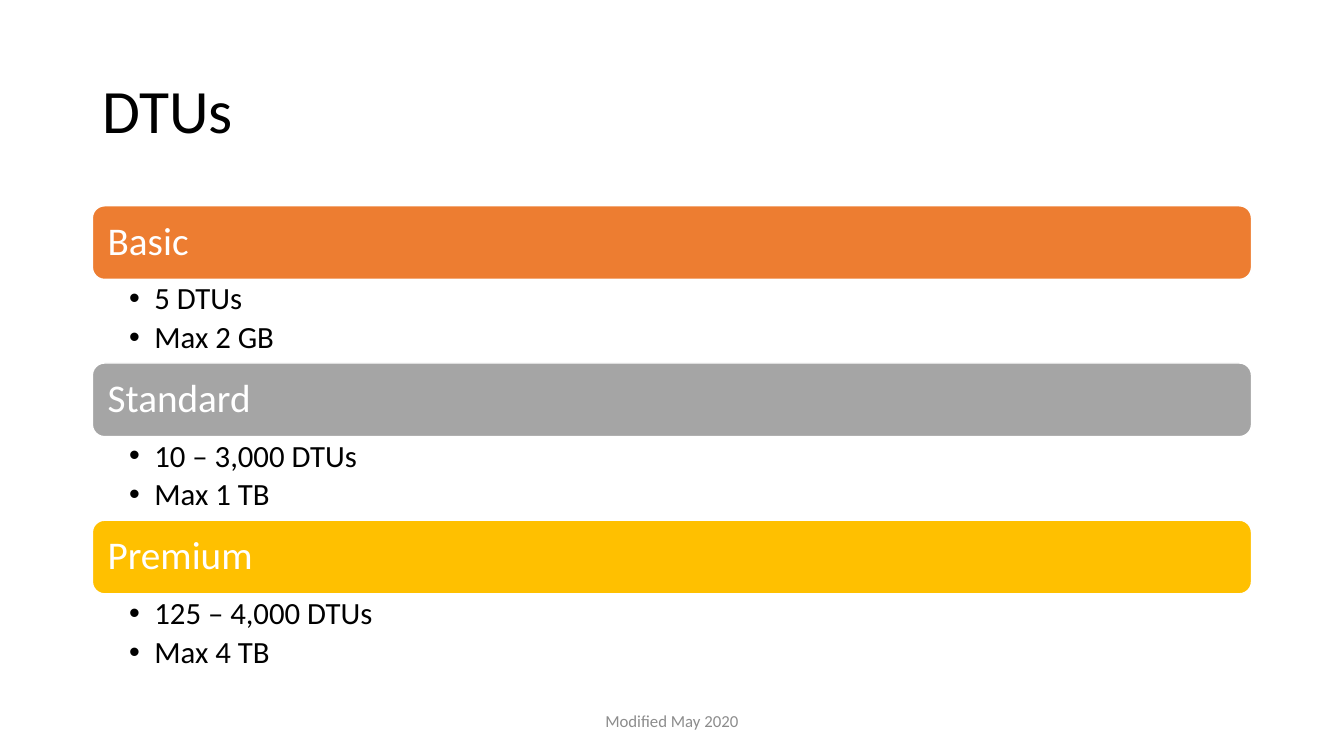
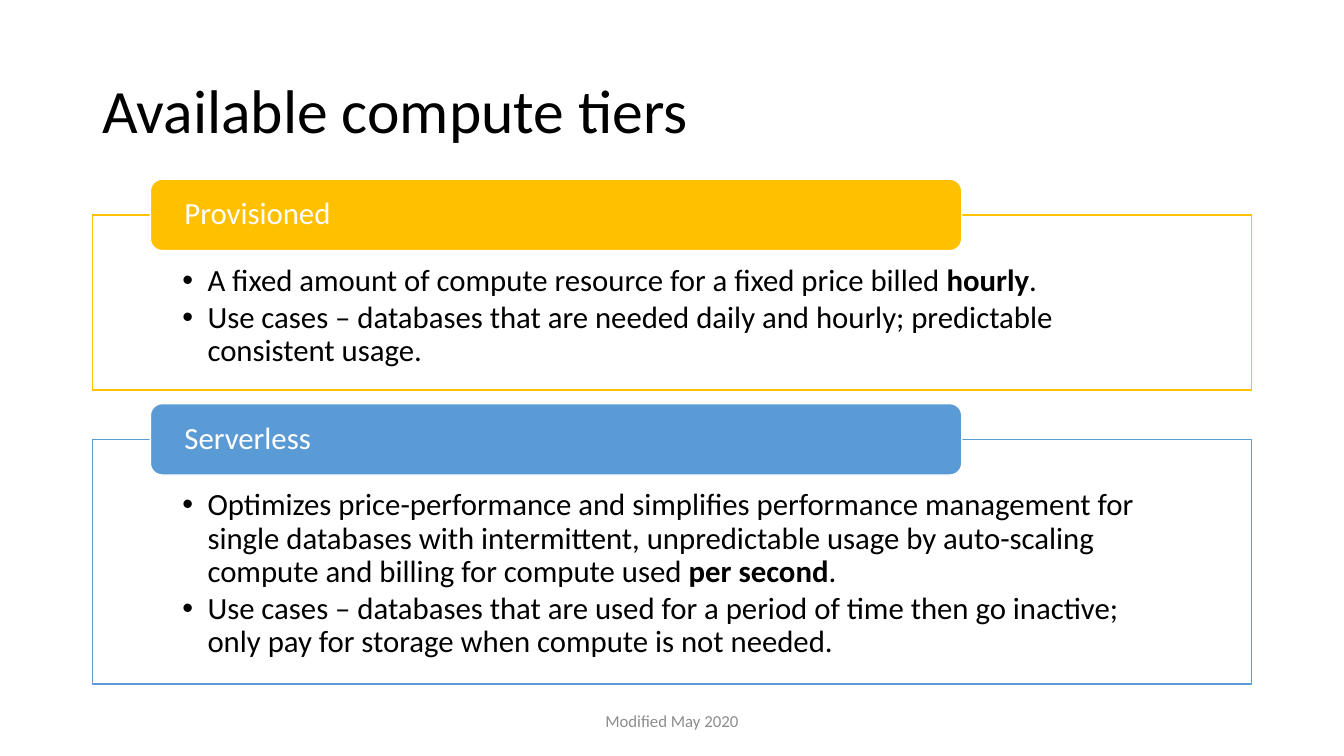
from dataclasses import dataclass

from lxml import etree
from pptx import Presentation
from pptx.dml.color import RGBColor
from pptx.enum import shapes, text
from pptx.oxml.ns import qn
from pptx.util import Pt


@dataclass(frozen=True)
class Theme:
    """Holds the colours, type sizes and margins that the slides share."""
    font: str = "Calibri"
    ink: str = "000000"
    paper: str = "FFFFFF"
    muted: str = "8C8C8C"
    orange: str = "ED7D31"
    gray: str = "A5A5A5"
    gold: str = "FFC000"
    blue: str = "5B9BD5"
    title: int = 44
    head: int = 28
    body: int = 22
    small: int = 12
    left: int = 66
    wide: int = 828


T = Theme()
RECT = shapes.MSO_SHAPE.RECTANGLE
ROUND = shapes.MSO_SHAPE.ROUNDED_RECTANGLE
LEFT, CENTER = text.PP_ALIGN.LEFT, text.PP_ALIGN.CENTER
TOP, MIDDLE = text.MSO_ANCHOR.TOP, text.MSO_ANCHOR.MIDDLE


def write(shape, lines, size=T.body, color=T.ink, align=LEFT, anchor=MIDDLE,
          inset=(7.2, 3.6, 7.2, 3.6), space=0, leading=0.9, bullet=False):
    """Fill a shape with paragraphs, setting words between asterisks in bold."""
    frame = shape.text_frame
    frame.word_wrap = True
    frame.vertical_anchor = anchor
    (frame.margin_left, frame.margin_top,
     frame.margin_right, frame.margin_bottom) = map(Pt, inset)
    for num, line in enumerate(lines):
        para = frame.add_paragraph() if num else frame.paragraphs[0]
        para.alignment = align
        para.line_spacing = leading
        para.space_after = Pt(space)
        if bullet:
            props = para._p.get_or_add_pPr()
            props.set("marL", str(Pt(18)))
            props.set("indent", str(Pt(-18)))
            etree.SubElement(props, qn("a:buFont"), typeface="Arial")
            etree.SubElement(props, qn("a:buChar"), char="•")
        for part, words in enumerate(line.split("*")):
            run = para.add_run()
            run.text = words
            font = run.font
            font.name, font.size, font.bold = T.font, Pt(size), part % 2 == 1
            font.color.rgb = RGBColor.from_string(color)


def label(slide, box, lines, **style):
    """Add a text box with formatted lines."""
    write(slide.shapes.add_textbox(*map(Pt, box)), lines, **style)


def panel(slide, kind, box, fill, line, alpha=100):
    """Add a filled, outlined shape."""
    shape = slide.shapes.add_shape(kind, *map(Pt, box))
    shape.shadow.inherit = False
    shape.fill.solid()
    shape.fill.fore_color.rgb = RGBColor.from_string(fill)
    if alpha < 100:
        tint = shape._element.spPr.find(qn("a:solidFill"))[0]
        etree.SubElement(tint, qn("a:alpha"), val=str(alpha * 1000))
    shape.line.color.rgb = RGBColor.from_string(line)
    shape.line.width = Pt(1)
    return shape


def page(deck, title):
    """Add a blank slide with the shared title and footer."""
    slide = deck.slides.add_slide(deck.slide_layouts[6])
    label(slide, (T.left, 28.8, T.wide, 104.4), [title], size=T.title)
    label(slide, (318, 500.5, 324, 28.75), ["Modified May 2020"],
          size=T.small, color=T.muted, align=CENTER, leading=1.0)
    return slide


def level(slide, box, color, name, facts):
    """Draw a coloured bar with its bullet list below."""
    x, y, wide, high = box
    bar = 52.6
    shape = panel(slide, ROUND, (x, y, wide, bar), color, T.paper)
    write(shape, [name], size=T.head, color=T.paper, inset=(8.4,) * 4)
    label(slide, (x, y + bar, wide, high - bar), facts, anchor=TOP,
          inset=(26.3, 2.8, 15.7, 2.8), space=4, bullet=True)


def card(slide, box, color, name, facts):
    """Draw an outlined card with a tab across its top edge."""
    x, y, wide, high = box
    tab = 51
    frame = panel(slide, RECT, (x, y + tab / 2, wide, high - tab / 2),
                  T.paper, color, alpha=90)
    write(frame, facts, anchor=TOP, inset=(64.3, 35.7, 64.3, 12.2),
          space=2.7, bullet=True)
    shape = panel(slide, ROUND, (x + wide * 0.05, y, wide * 0.7, tab),
                  color, T.paper)
    write(shape, [name], color=T.paper, inset=(21.9, 0, 21.9, 0))


def levels(deck):
    """Build the slide of service levels."""
    slide = page(deck, "DTUs")
    rows = [
        (T.orange, "Basic", ["5 DTUs", "Max 2 GB"]),
        (T.gray, "Standard", ["10 – 3,000 DTUs", "Max 1 TB"]),
        (T.gold, "Premium", ["125 – 4,000 DTUs", "Max 4 TB"]),
    ]
    pitch = 112.3
    for num, row in enumerate(rows):
        level(slide, (T.left, 147 + num * pitch, T.wide, pitch), *row)


def tiers(deck):
    """Build the slide of compute tiers."""
    slide = page(deck, "Available compute tiers")
    cards = [
        (150.7, T.gold, "Provisioned", [
            "A fixed amount of compute resource for a fixed price "
            "billed *hourly*.",
            "Use cases – databases that are needed daily and hourly; "
            "predictable consistent usage."]),
        (200.3, T.blue, "Serverless", [
            "Optimizes price-performance and simplifies performance "
            "management for single databases with intermittent, "
            "unpredictable usage by auto-scaling compute and billing for "
            "compute used *per second*.",
            "Use cases – databases that are used for a period of time then "
            "go inactive; only pay for storage when compute is not needed."]),
    ]
    y = 128
    for high, *parts in cards:
        card(slide, (T.left, y, T.wide, high), *parts)
        y += high + 9.6


def main():
    """Build and save the deck."""
    deck = Presentation()
    deck.slide_width, deck.slide_height = Pt(960), Pt(540)
    levels(deck)
    tiers(deck)
    deck.save("out.pptx")


if __name__ == "__main__":
    main()
